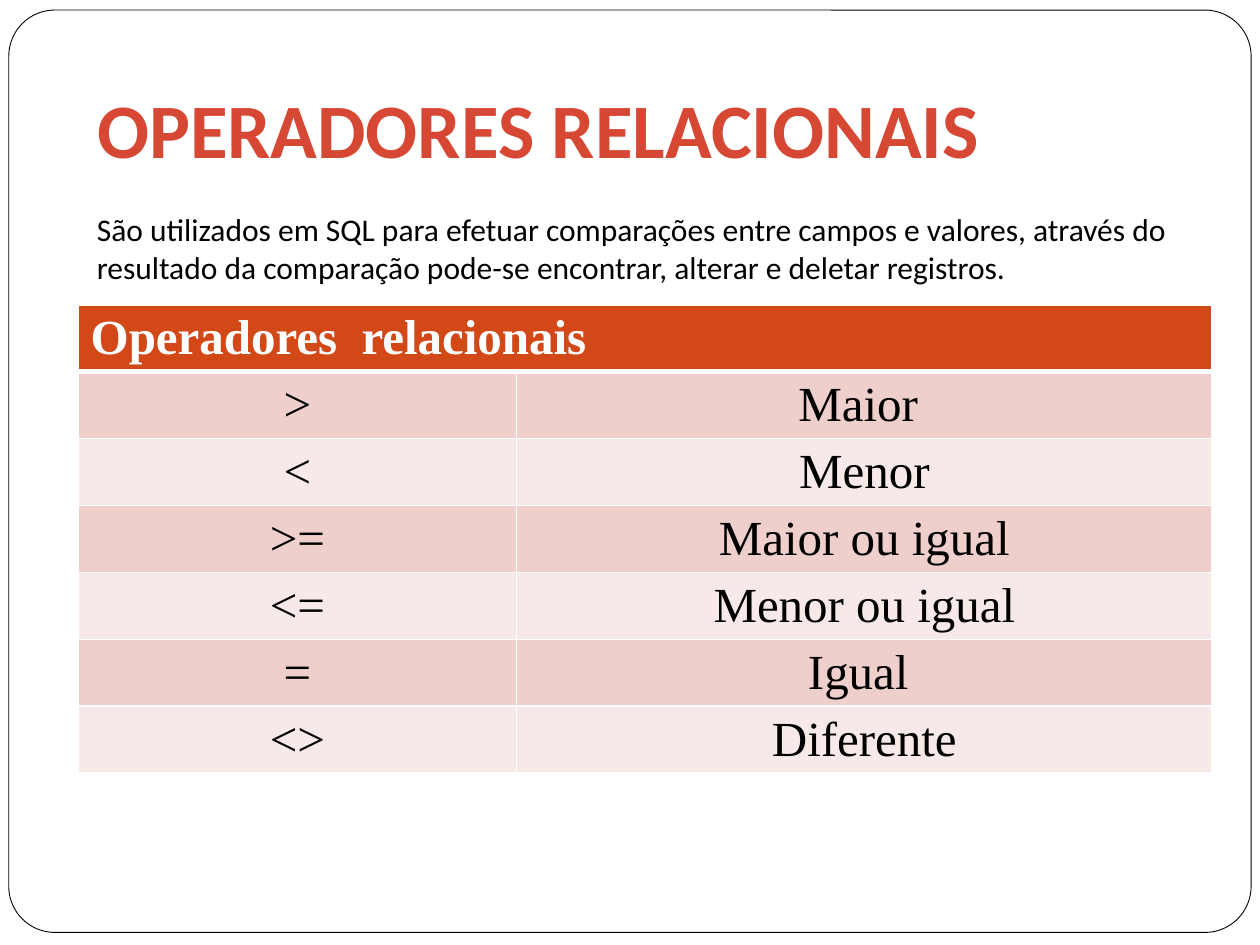
from dataclasses import dataclass

from lxml.etree import SubElement
from pptx import Presentation
from pptx.dml.color import RGBColor
from pptx.enum.shapes import MSO_SHAPE
from pptx.enum.text import MSO_ANCHOR, MSO_AUTO_SIZE, PP_ALIGN
from pptx.oxml.ns import qn
from pptx.util import Inches, Pt

COLORS = {
    "white": "FFFFFF",
    "black": "000000",
    "title": "D64833",
    "header": "D34817",
    "band_dark": "EFCFCC",
    "band_light": "F7E9E8",
}


@dataclass
class Operator:
    symbol: str
    meaning: str


@dataclass
class TextStyle:
    font: str
    size: int
    color: str
    bold: bool = False
    align: PP_ALIGN = PP_ALIGN.LEFT


TITLE = TextStyle("Calibri", 44, "title", True, PP_ALIGN.JUSTIFY)
BODY = TextStyle("Calibri", 18, "black")
HEADER = TextStyle("Times New Roman", 28, "white", True)
CELL = TextStyle("Times New Roman", 28, "black", align=PP_ALIGN.CENTER)

OPERATORS = [
    Operator(">", "Maior "),
    Operator("<", "Menor"),
    Operator(">=", "Maior ou igual"),
    Operator("<=", "Menor ou igual"),
    Operator("=", "Igual "),
    Operator("<>", "Diferente"),
]


def rgb(name: str) -> RGBColor:
    return RGBColor.from_string(COLORS[name])


def write(tf, text: str, style: TextStyle) -> None:
    tf.text = text
    p = tf.paragraphs[0]
    p.alignment = style.align
    font = p.runs[0].font
    font.name, font.size, font.bold = style.font, Pt(style.size), style.bold
    font.color.rgb = rgb(style.color)


def write_box(sp, text: str, style: TextStyle) -> None:
    tf = sp.text_frame
    write(tf, text, style)
    tf.word_wrap = True
    tf.auto_size = MSO_AUTO_SIZE.NONE
    tf.vertical_anchor = MSO_ANCHOR.TOP


def set_borders(cell, top: float = 1, bottom: float = 1) -> None:
    tc_pr = cell._tc.get_or_add_tcPr()
    for side, width in (("L", 1), ("R", 1), ("T", top), ("B", bottom)):
        ln = SubElement(tc_pr, qn(f"a:ln{side}"), w=str(Pt(width)))
        fill = SubElement(ln, qn("a:solidFill"))
        SubElement(fill, qn("a:srgbClr"), val=COLORS["white"])


def fill_cell(cell, color: str) -> None:
    cell.fill.solid()
    cell.fill.fore_color.rgb = rgb(color)


def add_operator_table(s, operators: list[Operator]) -> None:
    n_rows, row_h = len(operators) + 1, Inches(0.53)
    table = s.shapes.add_table(n_rows, 2, Inches(0.62), Inches(2.42),
                               Inches(9), row_h * n_rows).table
    for column, width in zip(table.columns, (3.48, 5.52)):
        column.width = Inches(width)

    # Header across both columns
    for cell in table.rows[0].cells:
        set_borders(cell, bottom=3)
        fill_cell(cell, "header")
    table.cell(0, 0).merge(table.cell(0, 1))
    write(table.cell(0, 0).text_frame, "Operadores  relacionais", HEADER)

    # Banded operator rows
    for i, op in enumerate(operators, start=1):
        for j, text in enumerate((op.symbol, op.meaning)):
            cell = table.cell(i, j)
            set_borders(cell, top=3 if i == 1 else 1)
            fill_cell(cell, "band_dark" if i % 2 else "band_light")
            write(cell.text_frame, text, CELL)


def main() -> None:
    prs = Presentation()
    prs.slide_width, prs.slide_height = Inches(10), Inches(7.5)
    s = prs.slides.add_slide(prs.slide_layouts[5])

    # Title
    title = s.shapes.title
    title.left, title.top = Inches(0.67), Inches(0.6)
    title.width, title.height = Inches(8.28), Inches(0.84)
    write_box(title, "OPERADORES RELACIONAIS", TITLE)

    # Rounded frame behind everything
    frame = s.shapes.add_shape(MSO_SHAPE.ROUNDED_RECTANGLE, Inches(0.07),
                               Inches(0.08), Inches(9.86), Inches(7.32))
    frame.adjustments[0] = 0.05
    frame.shadow.inherit = False
    frame.fill.solid()
    frame.fill.fore_color.rgb = rgb("white")
    frame.line.color.rgb = rgb("black")
    frame.line.width = Pt(0.5)
    title.element.addprevious(frame.element)

    # Operator table
    add_operator_table(s, OPERATORS)

    # Description
    box = s.shapes.add_textbox(Inches(0.67), Inches(1.62),
                               Inches(8.98), Inches(0.71))
    write_box(box, "São utilizados em SQL para efetuar comparações entre "
                   "campos e valores, através do resultado da comparação "
                   "pode-se encontrar, alterar e deletar registros.", BODY)

    prs.save("out.pptx")


if __name__ == "__main__":
    main()
